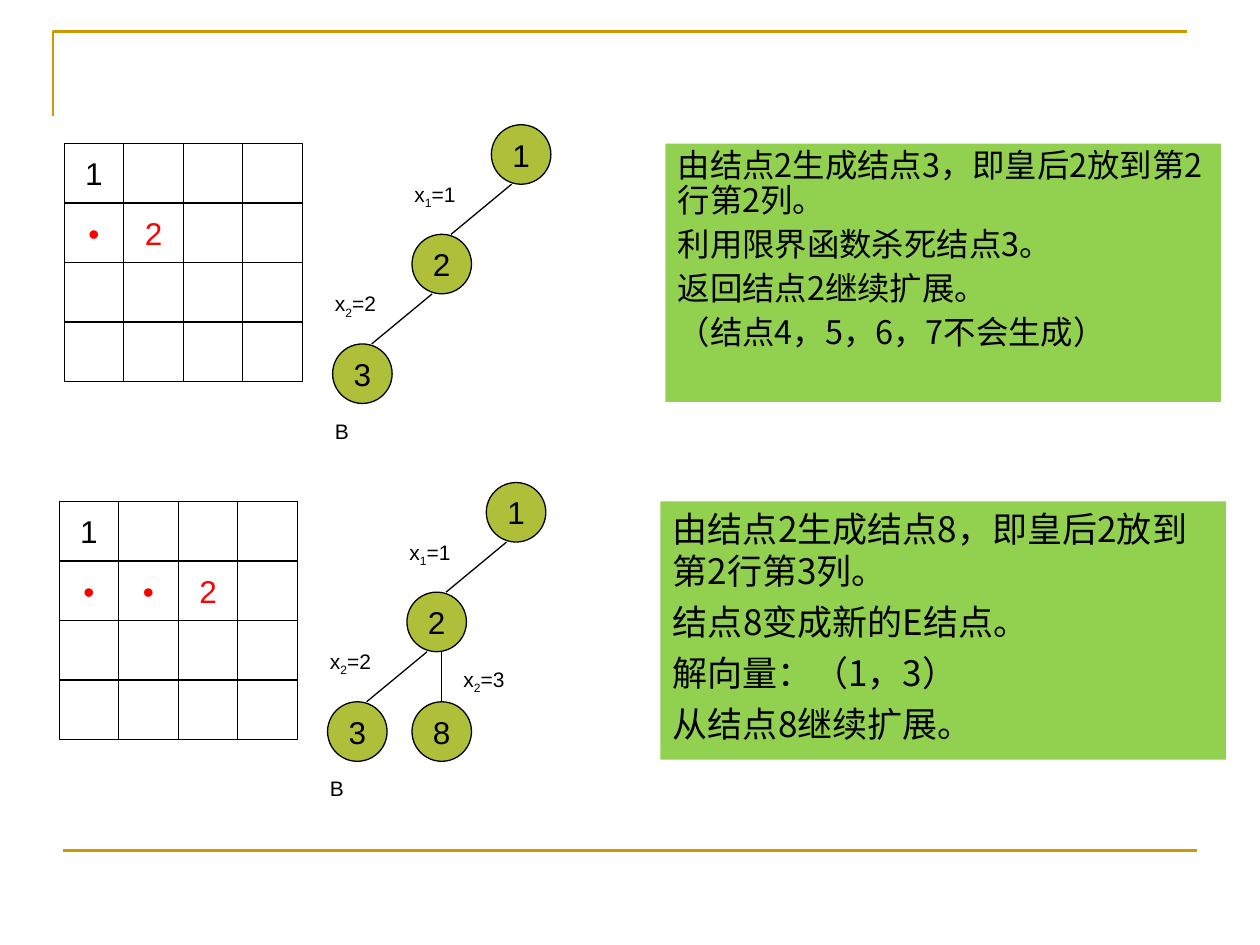
from lxml import etree
from pptx import Presentation
from pptx.dml.color import RGBColor
from pptx.enum.shapes import MSO_CONNECTOR, MSO_SHAPE
from pptx.enum.text import MSO_ANCHOR, MSO_AUTO_SIZE, PP_ALIGN
from pptx.oxml.ns import qn
from pptx.util import Inches, Pt

RECT, OVAL = MSO_SHAPE.RECTANGLE, MSO_SHAPE.OVAL
LINE = MSO_CONNECTOR.STRAIGHT
MIDDLE, TOP = MSO_ANCHOR.MIDDLE, MSO_ANCHOR.TOP
CENTER, LEFT = PP_ALIGN.CENTER, PP_ALIGN.LEFT
NO_FIT = MSO_AUTO_SIZE.NONE

BLACK = RGBColor(0x00, 0x00, 0x00)
RED = RGBColor(0xFF, 0x00, 0x00)
GOLD = RGBColor(0xCC, 0x99, 0x00)
OLIVE = RGBColor(0xAF, 0xBF, 0x39)
GREEN = RGBColor(0x92, 0xD0, 0x50)

LATIN, HAN = "Arial", "Noto Sans CJK SC"
COUNT = 4            # queens, and cells along a side
SIDE = 1.89 / COUNT  # cell side and node diameter
STEP_X, STEP_Y = 0.63, 0.87


def set_font(para, size, color=BLACK, name=LATIN):
    para.font.size = Pt(size)
    para.font.name = name
    para.font.color.rgb = color


def add_line(shapes, x1, y1, x2, y2, color=BLACK, width=0.75):
    line = shapes.add_connector(LINE, Inches(x1), Inches(y1), Inches(x2), Inches(y2))
    line.line.color.rgb = color
    line.line.width = Pt(width)
    etree.SubElement(line._element.spPr, qn("a:effectLst"))
    return line


def add_mark(shapes, kind, x, y, text="", color=BLACK, fill=None):
    """A board cell or a tree node with a centred sign."""
    mark = shapes.add_shape(kind, Inches(x), Inches(y), Inches(SIDE), Inches(SIDE))
    mark.shadow.inherit = False
    if fill is None:
        mark.fill.background()
    else:
        mark.fill.solid()
        mark.fill.fore_color.rgb = fill
    mark.line.color.rgb = BLACK
    mark.line.width = Pt(0.75)
    if text:
        frame = mark.text_frame
        frame.word_wrap = False
        frame.vertical_anchor = MIDDLE
        para = frame.paragraphs[0]
        para.text = text
        para.alignment = CENTER
        set_font(para, 18, color)
    return mark


def add_label(shapes, x, y, text, sub="", rest=""):
    box = shapes.add_textbox(Inches(x), Inches(y), Inches(0.63), Inches(0.33))
    box.text_frame.word_wrap = True
    para = box.text_frame.paragraphs[0]
    set_font(para, 12)
    for part in filter(None, (text, sub, rest)):
        run = para.add_run()
        run.text = part
        if part == sub and part is not rest:
            run.font._element.set("baseline", "-25000")


def add_frame(shapes):
    """Gold corner at the top and rule at the bottom."""
    pen = shapes.build_freeform(Inches(0.42), Inches(0.92))
    pen.add_line_segments(
        [(Inches(0.42), Inches(0.25)), (Inches(9.42), Inches(0.25))], close=False)
    corner = pen.convert_to_shape()
    corner.shadow.inherit = False
    corner.fill.background()
    corner.line.color.rgb = GOLD
    corner.line.width = Pt(1.5)
    add_line(shapes, 0.5, 6.75, 9.5, 6.75, GOLD, 1.5)


def add_board(shapes, x, y, signs):
    """Square board; signs maps (row, column) to text and colour."""
    group = shapes.add_group_shape()
    for row in range(COUNT):
        for col in range(COUNT):
            text, color = signs.get((row, col), ("", BLACK))
            add_mark(group.shapes, RECT, x + col * SIDE, y + row * SIDE, text, color)


def add_tree(shapes, x, y, branch):
    """Chain of nodes 1-2-3 down to the left, with node 8 on request."""
    spots = [(x + 1.26 - i * STEP_X, y + i * STEP_Y) for i in range(3)]
    for i, (left, top) in enumerate(spots):
        add_mark(shapes, OVAL, left, top, str(i + 1), fill=OLIVE)
        if i:
            last_x, last_y = spots[i - 1]
            add_line(shapes, last_x + 0.16, last_y + SIDE, left + 0.31, top)
            add_label(shapes, left - 0.08, top - 0.47, "x", str(i), f"={i}")
    add_label(shapes, x - 0.08, y + 2.28, "B")
    if branch:
        left, top = x + 0.67, y + 2 * STEP_Y
        node = add_mark(shapes, OVAL, left, top, "8", fill=OLIVE)
        mid = left + SIDE / 2
        line = add_line(shapes, mid, y + STEP_Y + SIDE, mid, top)
        line.end_connect(node, 0)
        add_label(shapes, x + 0.98, y + 1.41, "x", "2", "=3")


def fill_panel(panel, x, y, width, lines, size, spacing):
    """Green list of remarks."""
    panel.left, panel.top = Inches(x), Inches(y)
    panel.width, panel.height = Inches(width), Inches(2.05)
    panel.fill.solid()
    panel.fill.fore_color.rgb = GREEN
    frame = panel.text_frame
    frame.word_wrap = True
    frame.auto_size = NO_FIT
    frame.vertical_anchor = TOP
    for i, text in enumerate(lines):
        para = frame.paragraphs[0] if i == 0 else frame.add_paragraph()
        para.text = text
        props = para._p.get_or_add_pPr()
        props.set("marL", "0")
        props.set("indent", "0")
        etree.SubElement(props, qn("a:buNone"))
        para.alignment = LEFT
        para.line_spacing = spacing
        para.space_before = Pt(5 if i else 0)
        set_font(para, size, name=HAN)
        east = etree.SubElement(props.find(qn("a:defRPr")), qn("a:ea"))
        east.set("typeface", HAN)


def add_stage(shapes, panel, x, y, signs, branch, width, lines, size, spacing):
    """One search step: board, tree and remarks."""
    add_board(shapes, x, y, signs)
    add_tree(shapes, x + 2.13, y - 0.15, branch)
    fill_panel(panel, x + 4.77, y, width, lines, size, spacing)


def main():
    deck = Presentation()
    deck.slide_width, deck.slide_height = Inches(10), Inches(7.5)
    slide = deck.slides.add_slide(deck.slide_layouts[3])
    shapes = slide.shapes
    title = shapes.title._element
    title.getparent().remove(title)
    first, second = slide.placeholders[1], slide.placeholders[2]

    add_frame(shapes)
    dot, queen = ("•", RED), ("2", RED)
    start = {(0, 0): ("1", BLACK), (1, 0): dot}
    add_stage(shapes, first, 0.51, 1.14, {**start, (1, 1): queen}, False, 4.41, [
        "由结点2生成结点3，即皇后2放到第2行第2列。",
        "利用限界函数杀死结点3。",
        "返回结点2继续扩展。",
        "（结点4，5，6，7不会生成）",
    ], 18.5, 0.9)
    add_stage(shapes, second, 0.47, 3.98,
              {**start, (1, 1): dot, (1, 2): queen}, True, 4.49, [
        "由结点2生成结点8，即皇后2放到第2行第3列。",
        "结点8变成新的E结点。",
        "解向量：（1，3）",
        "从结点8继续扩展。",
    ], 20, 1.0)
    deck.save("out.pptx")


if __name__ == "__main__":
    main()
